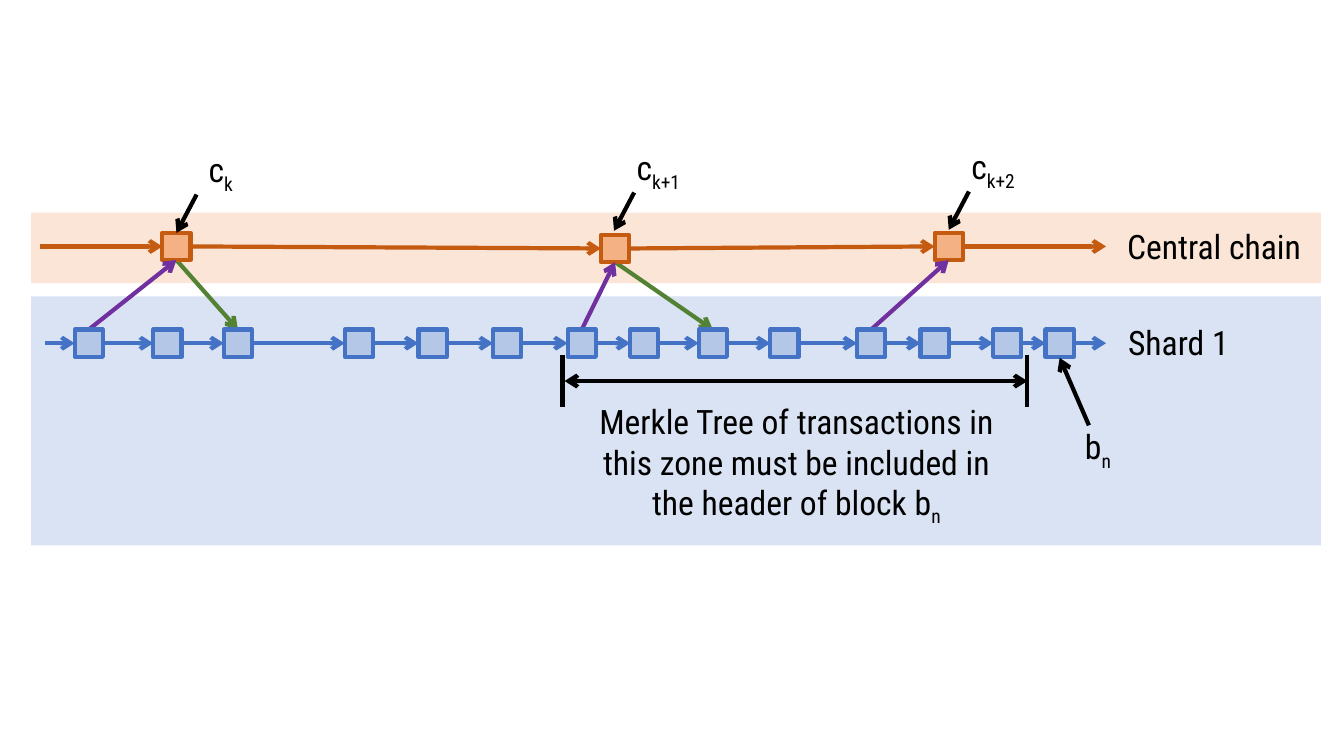
from lxml import etree
from pptx import Presentation
from pptx import util as u
from pptx.dml.color import RGBColor
from pptx.enum import shapes, text
from pptx.oxml.ns import qn

COLORS = {
    "central_band": "FBE5D6", "central_block": "F4B183", "central_line": "C55A11",
    "shard_band": "DAE3F3", "shard_block": "B4C7E7", "shard_line": "4472C4",
    "up": "7030A0", "down": "548235", "ink": "000000",
}
FONT = {"name": "Roboto Condensed", "size": u.Pt(24)}
BLOCK_W, BLOCK_H = 0.28, 0.27
LINE_WIDTH = u.Pt(3)

CENTRAL_BOX = (0.31, 2.11, 12.79, 0.7)
CENTRAL_BLOCKS = [(1.3, 0.2), (5.65, 0.22), (8.96, 0.2)]
SHARD_BOX = (0.31, 2.94, 12.79, 2.47)
SHARD_BLOCKS = [(x, 0.33) for x in (0.43, 1.21, 1.91, 3.11, 3.84, 4.58, 5.32,
                                    5.94, 6.62, 7.33, 8.19, 8.82, 9.54, 10.06)]
UP_LINKS = [(0, 0), (6, 1), (10, 2)]
DOWN_LINKS = [(0, 2), (1, 8)]


def rgb(key):
    return RGBColor.from_string(COLORS[key])


def rect(s, box, fill, line=None):
    sp = s.shapes.add_shape(shapes.MSO_SHAPE.RECTANGLE, *map(u.Inches, box))
    sp.shadow.inherit = False
    sp.fill.solid()
    sp.fill.fore_color.rgb = rgb(fill)
    if line:
        sp.line.color.rgb = rgb(line)
        sp.line.width = LINE_WIDTH
    else:
        sp.line.fill.background()


def line(s, start, end, color, ends=("tailEnd",)):
    c = s.shapes.add_connector(shapes.MSO_CONNECTOR.STRAIGHT,
                               *map(u.Inches, (*start, *end)))
    c.line.color.rgb = rgb(color)
    c.line.width = LINE_WIDTH
    ln = c.line._get_or_add_ln()
    for tag in ends:
        etree.SubElement(ln, qn(f"a:{tag}"), type="arrow")
    etree.SubElement(c._element.spPr, qn("a:effectLst"))


def label(s, box, words, sub="", align=text.PP_ALIGN.CENTER):
    tf = s.shapes.add_textbox(*map(u.Inches, box)).text_frame
    tf.word_wrap = True
    tf.auto_size = text.MSO_AUTO_SIZE.SHAPE_TO_FIT_TEXT
    p = tf.paragraphs[0]
    p.alignment = align
    for part, baseline in ((words, None), (sub, "-25000")):
        if not part:
            continue
        r = p.add_run()
        r.text = part
        for name, value in FONT.items():
            setattr(r.font, name, value)
        r.font.color.rgb = rgb("ink")
        if baseline:
            r._r.get_or_add_rPr().set("baseline", baseline)


def block_boxes(box, blocks):
    return [(box[0] + x, box[1] + y, BLOCK_W, BLOCK_H) for x, y in blocks]


def chain(s, box, blocks, kind, start, end):
    boxes = block_boxes(box, blocks)
    mids = [y + h / 2 for _, y, _, h in boxes]
    tails = [(box[0] + start, mids[0])]
    tails += [(b[0] + BLOCK_W, m) for b, m in zip(boxes, mids)]
    tips = [(b[0], m) for b, m in zip(boxes, mids)]
    tips.append((box[0] + end, mids[-1]))
    for tail, tip in zip(tails, tips):
        line(s, tail, tip, f"{kind}_line")
    for b in boxes:
        rect(s, b, f"{kind}_block", f"{kind}_line")


def cross_links(s, central_box, shard_box, links, direction):
    bottoms = [(x + w / 2, y + h) for x, y, w, h in block_boxes(central_box, CENTRAL_BLOCKS)]
    tops = [(x + w / 2, y) for x, y, w, _ in block_boxes(shard_box, SHARD_BLOCKS)]
    sources, targets = (tops, bottoms) if direction == "up" else (bottoms, tops)
    for i, j in links:
        line(s, sources[i], targets[j], direction)


def central_labels(s, box):
    x, y = box[:2]
    label(s, (x + 10.77, y + 0.08, 2.01, 0.5), "Central chain", align=text.PP_ALIGN.LEFT)
    for dx, dy, sub in ((1.5, -0.68, "k"), (5.84, -0.7, "k+1"), (9.16, -0.71, "k+2")):
        left, top = x + dx, y + dy
        line(s, (left + 0.14, top + 0.5), (left - 0.06, top + 0.88), "ink")
        label(s, (left, top, 0.76, 0.5), "c", sub)


def shard_labels(s, box):
    x, y = box[:2]
    label(s, (x + 10.78, y + 0.2, 1.53, 0.5), "Shard 1", align=text.PP_ALIGN.LEFT)
    zone_left, zone_right = x + 5.27, x + 9.88
    for edge in (zone_left, zone_right):
        line(s, (edge, y + 0.58), (edge, y + 1.1), "ink", ends=())
    line(s, (zone_left + 0.02, y + 0.84), (zone_right, y + 0.84), "ink",
         ends=("headEnd", "tailEnd"))
    label(s, (x + 5.47, y + 0.99, 4.24, 1.31),
          "Merkle Tree of transactions in this zone must be included in the header of block b", "n")
    line(s, (x + 10.49, y + 1.28), (x + 10.2, y + 0.61), "ink")
    label(s, (x + 10.2, y + 1.24, 0.76, 0.5), "b", "n")


def chain_slide(prs):
    s = prs.slides.add_slide(prs.slide_layouts[6])
    rect(s, CENTRAL_BOX, "central_band")
    rect(s, SHARD_BOX, "shard_band")
    cross_links(s, CENTRAL_BOX, SHARD_BOX, DOWN_LINKS, "down")
    chain(s, CENTRAL_BOX, CENTRAL_BLOCKS, "central", 0.09, 10.66)
    cross_links(s, CENTRAL_BOX, SHARD_BOX, UP_LINKS, "up")
    chain(s, SHARD_BOX, SHARD_BLOCKS, "shard", 0.14, 10.66)
    central_labels(s, CENTRAL_BOX)
    shard_labels(s, SHARD_BOX)


def main():
    prs = Presentation()
    prs.slide_width, prs.slide_height = u.Inches(13.33), u.Inches(7.5)
    chain_slide(prs)
    prs.save("out.pptx")


if __name__ == "__main__":
    main()
